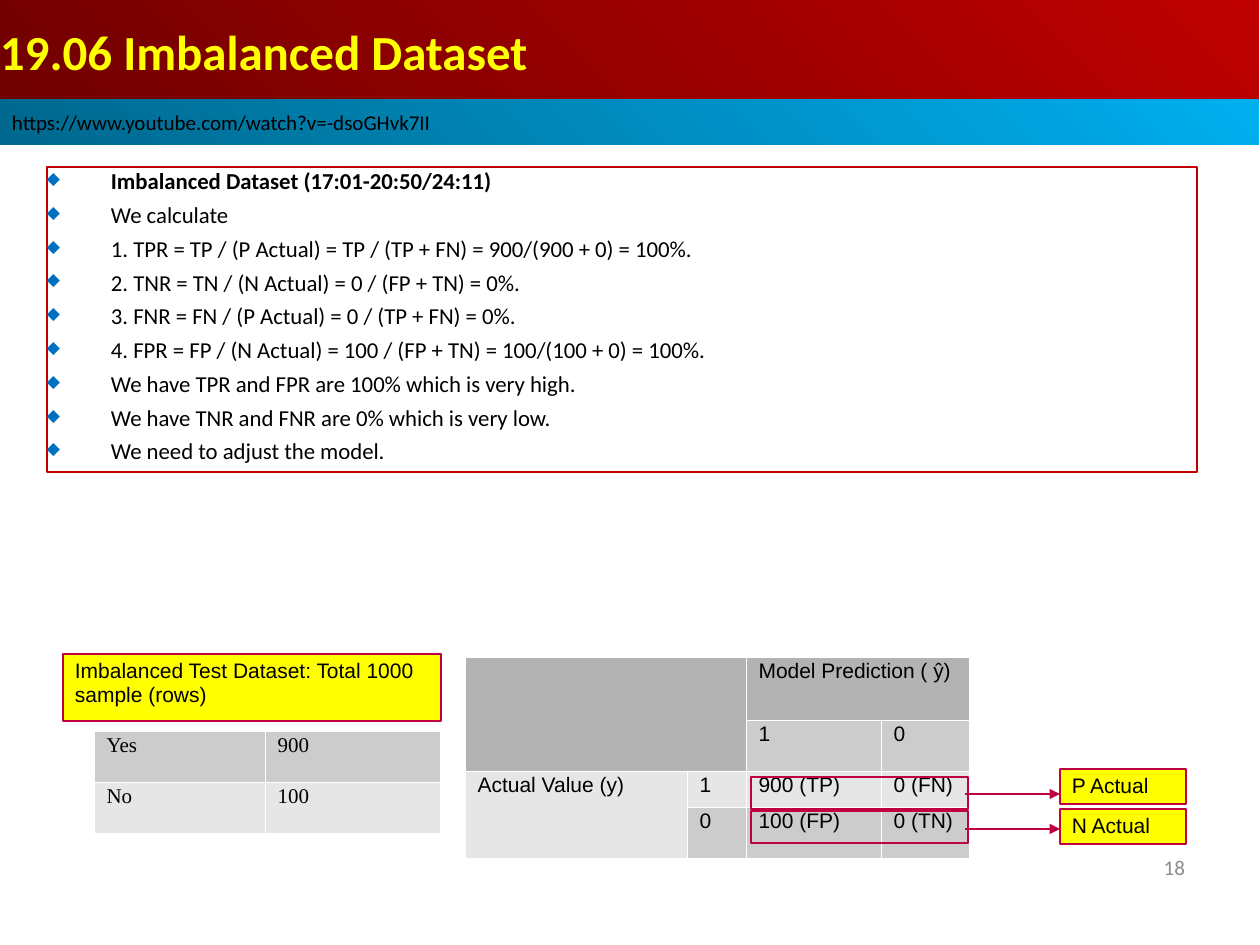
from lxml import etree
from pptx import Presentation, util as u
from pptx.dml.color import RGBColor
from pptx.enum import shapes, text
from pptx.oxml.ns import qn

PX = 914400 / 126
COLORS = dict(
    red="BF0000", dark_red="710000", cyan="00AFEF", dark_cyan="00688E",
    frame="C00000", bullet="0070C0", accent="BF0041", yellow="FFFF00",
    black="000000", white="FFFFFF", number="8B8B8B",
    head="B3B3B3", mid="CCCCCC", light="E6E6E6",
)

TITLE = "19.06 Imbalanced Dataset"
SOURCE = "https://www.youtube.com/watch?v=-dsoGHvk7II"
POINTS = [
    "Imbalanced Dataset (17:01-20:50/24:11)",
    "We calculate",
    "1. TPR = TP / (P Actual) = TP / (TP + FN) = 900/(900 + 0) = 100%.",
    "2. TNR = TN / (N Actual) = 0 / (FP + TN) = 0%.",
    "3. FNR = FN / (P Actual) = 0 / (TP + FN) = 0%.",
    "4. FPR = FP / (N Actual) = 100 / (FP + TN) = 100/(100 + 0) = 100%.",
    "We have TPR and FPR are 100% which is very high.",
    "We have TNR and FNR are 0% which is very low.",
    "We need to adjust the model.",
]
DATASET_LABEL = "Imbalanced Test Dataset: Total 1000 sample (rows)"
DATASET = [["Yes", "900"], ["No", "100"]]
CONFUSION = [
    ["", "", "Model Prediction ( ŷ)", ""],
    ["", "", "1", "0"],
    ["Actual Value (y)", "1", "900 (TP)", "0 (FN)"],
    ["", "0", "100 (FP)", "0 (TN)"],
]
CONFUSION_FILLS = [
    ["head"] * 4,
    ["head", "head", "mid", "mid"],
    ["light"] * 4,
    ["light", "mid", "mid", "mid"],
]
MERGES = [((0, 0), (1, 1)), ((0, 2), (0, 3)), ((2, 0), (3, 0))]
# label, label top, outline top, arrow height
ACTUALS = [("P Actual", 769, 777, 794), ("N Actual", 809, 811, 829)]
OUTLINE_X, OUTLINE_W, OUTLINE_H = 751, 217, 32
ARROW_X, LABEL_X, LABEL_W, LABEL_H = 965, 1060, 126, 35

prs = Presentation()
prs.slide_width, prs.slide_height = u.Inches(10), u.Inches(7.5)
slide = prs.slides.add_slide(prs.slide_layouts[6])


def px(*values):
    return [u.Emu(round(v * PX)) for v in values]


def rgb(name):
    return RGBColor.from_string(COLORS[name])


def add_bullet(paragraph):
    props = paragraph._p.get_or_add_pPr()
    indent = px(64)[0]
    props.set("marL", str(indent))
    props.set("indent", str(-indent))
    color = etree.SubElement(props, qn("a:buClr"))
    etree.SubElement(color, qn("a:srgbClr"), val=COLORS["bullet"])
    etree.SubElement(props, qn("a:buSzPct"), val="75000")
    etree.SubElement(props, qn("a:buChar"), char="◆")


def write(frame, lines, *, font="Arial", size=12, color="black", bold=(),
          align="LEFT", anchor="TOP", margins=(12, 6), spacing=None,
          before=0, after=0, bullets=False):
    """Fill a text frame; bold holds the indices of the bold lines."""
    frame.word_wrap = True
    frame.vertical_anchor = text.MSO_ANCHOR[anchor]
    frame.margin_left = frame.margin_right = px(margins[0])[0]
    frame.margin_top = frame.margin_bottom = px(margins[1])[0]
    for i, line in enumerate(lines):
        paragraph = frame.paragraphs[0] if i == 0 else frame.add_paragraph()
        if bullets:
            add_bullet(paragraph)
        paragraph.alignment = text.PP_ALIGN[align]
        if spacing:
            paragraph.line_spacing = spacing
        if i:
            paragraph.space_before = u.Pt(before)
        paragraph.space_after = u.Pt(after)
        run = paragraph.add_run()
        run.text = line
        run.font.name, run.font.size = font, u.Pt(size)
        run.font.bold = i in bold
        run.font.color.rgb = rgb(color)


def box(*place, fill=None, gradient=None, line=None):
    shape = slide.shapes.add_shape(shapes.MSO_SHAPE.RECTANGLE, *px(*place))
    shape.shadow.inherit = False
    if gradient:
        shape.fill.gradient()
        shape.fill.gradient_angle = 225
        for stop, name in zip(shape.fill.gradient_stops, gradient):
            stop.color.rgb = rgb(name)
    elif fill:
        shape.fill.solid()
        shape.fill.fore_color.rgb = rgb(fill)
    else:
        shape.fill.background()
    if line:
        shape.line.color.rgb = rgb(line)
        shape.line.width = u.Pt(0.75)
    else:
        shape.line.fill.background()
    return shape


def yellow_label(label, *place):
    shape = box(*place, fill="yellow", line="accent")
    write(shape.text_frame, [label], spacing=0.93)


def arrow(x1, x2, y):
    line = slide.shapes.add_connector(
        shapes.MSO_CONNECTOR.STRAIGHT, *px(x1, y, x2, y))
    line.line.color.rgb = rgb("accent")
    line.line.width = u.Pt(0.75)
    etree.SubElement(line.line._get_or_add_ln(), qn("a:tailEnd"), type="triangle")
    etree.SubElement(line._element.spPr, qn("a:effectLst"))


def white_borders(cell):
    props = cell._tc.get_or_add_tcPr()
    for i, side in enumerate(("lnL", "lnR", "lnT", "lnB")):
        border = etree.Element(qn("a:" + side), w="762")
        fill = etree.SubElement(border, qn("a:solidFill"))
        etree.SubElement(fill, qn("a:srgbClr"), val=COLORS["white"])
        props.insert(i, border)


def grid(left, top, widths, heights, rows, fills, merges=(), **style):
    table = slide.shapes.add_table(
        len(rows), len(widths),
        *px(left, top, sum(widths), sum(heights))).table
    table.first_row = table.horz_banding = False
    for column, width in zip(table.columns, px(*widths)):
        column.width = width
    for row, height in zip(table.rows, px(*heights)):
        row.height = height
    for r, row in enumerate(rows):
        for c, value in enumerate(row):
            cell = table.cell(r, c)
            cell.fill.solid()
            cell.fill.fore_color.rgb = rgb(fills[r][c])
            white_borders(cell)
            if value:
                write(cell.text_frame, [value], after=0.4, **style)
    for first, last in merges:
        table.cell(*first).merge(table.cell(*last))


title = box(0, 0, 1259, 102, gradient=("red", "dark_red"))
write(title.text_frame, [TITLE], font="Calibri", size=28, color="yellow",
      bold=(0,), anchor="MIDDLE", margins=(0, 0), after=4)
points = box(47, 167, 1150, 305, line="frame")
write(points.text_frame, POINTS, font="Calibri", size=13, bold=(0,),
      margins=(0, 0), before=3.3, after=0.4, bullets=True)
source = box(0, 99, 1259, 46, gradient=("cyan", "dark_cyan"))
write(source.text_frame, [SOURCE], font="Calibri", anchor="MIDDLE", after=4)
number = slide.shapes.add_textbox(*px(907, 844, 290, 47))
write(number.text_frame, ["18"], font="Calibri", color="number",
      align="RIGHT", anchor="MIDDLE", after=4)

yellow_label(DATASET_LABEL, 63, 654, 378, 67)
grid(465, 657, (222, 59, 135, 88), (63, 51, 36, 51), CONFUSION,
     CONFUSION_FILLS, MERGES, spacing=0.81)
grid(94, 731, (171, 175), (51, 51), DATASET,
     [["mid"] * 2, ["light"] * 2], font="Times New Roman", spacing=0.8)

for label, label_top, outline_top, arrow_y in ACTUALS:
    arrow(ARROW_X, LABEL_X, arrow_y)
    box(OUTLINE_X, outline_top, OUTLINE_W, OUTLINE_H, line="accent")
    yellow_label(label, LABEL_X, label_top, LABEL_W, LABEL_H)

prs.save("out.pptx")
